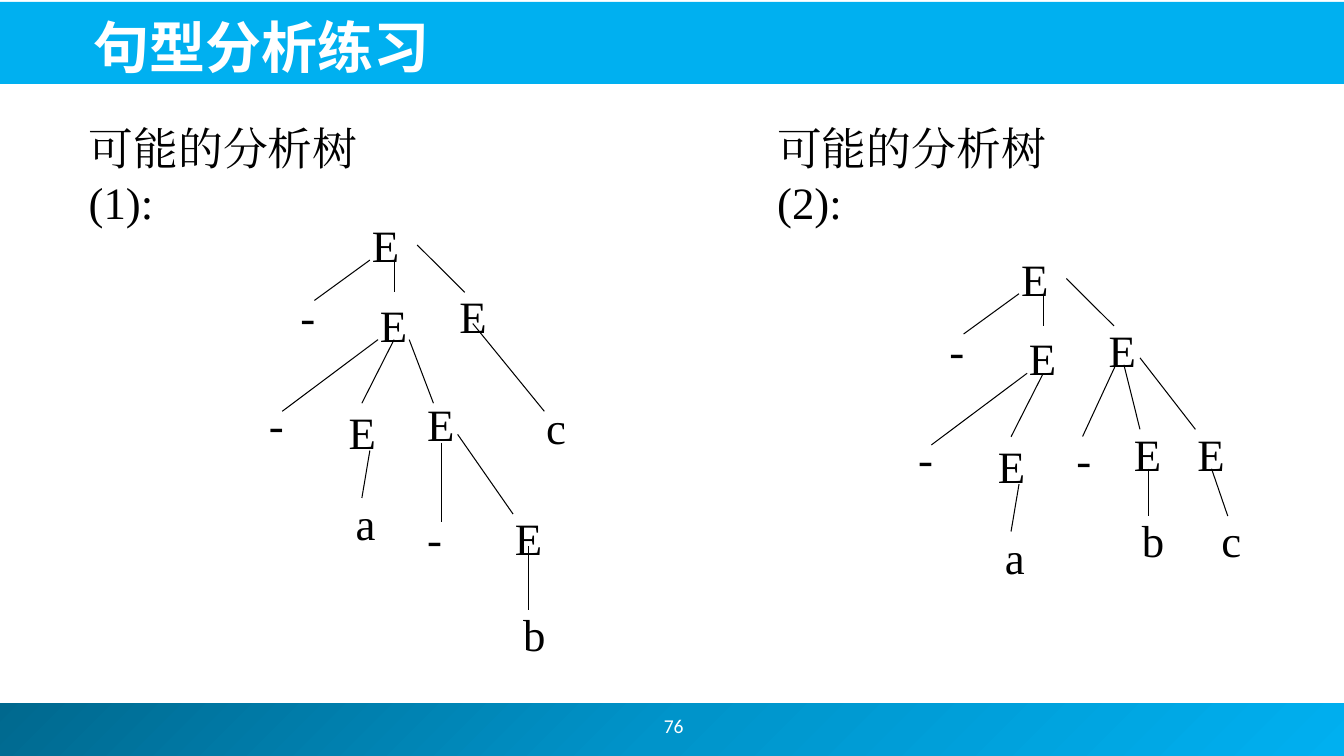
from copy import deepcopy
from dataclasses import dataclass

from lxml.etree import SubElement
from pptx import Presentation
from pptx.dml.color import RGBColor
from pptx.enum.shapes import MSO_CONNECTOR as Connector, MSO_SHAPE as Shape
from pptx.enum.text import MSO_ANCHOR as Anchor, MSO_AUTO_SIZE as AutoSize, PP_ALIGN as Align
from pptx.oxml.ns import qn
from pptx.util import Pt


@dataclass(frozen=True)
class Theme:
    sky: str = "00B0F0"
    footer_stops: tuple = ((0, "00688E"), (0.5, "0094CA"), (1, "00B0F0"))
    white: str = "FFFFFF"
    black: str = "000000"
    title_font: str = "Noto Sans CJK JP"
    body_font: str = "Times New Roman"
    number_font: str = "Calibri"
    title_size: int = 40
    body_size: int = 32
    number_size: int = 14
    branch_width: float = 0.75


THEME = Theme()
NODE_WIDTH, TEXT_HEIGHT = 24, 46
SECOND_TREE = (463.7, 24)

SHARED_NODES = [
    ("E", 258.5, 152), ("-", 207.4, 203), ("E", 264.2, 208.8), ("E", 321.1, 203),
    ("-", 185, 280), ("E", 241.9, 285.8), ("a", 247, 350.6),
]
SHARED_BRANCHES = [
    (264.2, 185.8, 224.6, 214.6), (281.5, 185.8, 281.5, 208.8), (298, 175, 332, 208.8),
    (270, 242.6, 201.6, 293.8), (281.5, 242.6, 258.5, 288), (264.2, 321.8, 258.5, 355.7),
]
FIRST_NODES = [
    ("E", 298, 280), ("c", 383, 282.2), ("-", 298, 361.4), ("E", 360.7, 361.4), ("b", 366.5, 429.8),
]
FIRST_BRANCHES = [
    (292.3, 242.6, 309.6, 288), (337.7, 231.1, 388.8, 293.8), (315.4, 316.1, 315.4, 373),
    (326.9, 310.3, 366.5, 367.2), (377.3, 390.2, 377.3, 435.6),
]
SECOND_NODES = [
    ("-", 298, 280.6), ("E", 339.1, 277), ("E", 384.5, 277), ("b", 344.9, 338.9), ("c", 401.7, 338.9),
]
SECOND_BRANCHES = [
    (333.3, 236.6, 309.6, 287.8), (339.1, 236.6, 350.6, 282.7), (350.6, 231.6, 390.2, 282.7),
    (356.4, 310.8, 356.4, 344.6), (401.7, 310.8, 413.3, 344.6),
]


def add_band(page, left, top, width, height):
    band = page.shapes.add_shape(Shape.RECTANGLE, Pt(left), Pt(top), Pt(width), Pt(height))
    band.shadow.inherit = False
    band.line.fill.background()
    return band


def fill_solid(band, color):
    band.fill.solid()
    band.fill.fore_color.rgb = RGBColor.from_string(color)


def fill_gradient(band, stops):
    band.fill.gradient()
    band.fill.gradient_angle = 315
    stop_list = band._element.spPr.find(".//" + qn("a:gsLst"))
    stop_list.insert(1, deepcopy(stop_list[0]))
    for stop, (position, color) in zip(band.fill.gradient_stops, stops):
        stop.position = position
        stop.color.rgb = RGBColor.from_string(color)


def add_text(page, text, left, top, width, height, font, size, color,
             bold=False, align=Align.LEFT, anchor=Anchor.TOP, fit=AutoSize.NONE):
    box = page.shapes.add_textbox(Pt(left), Pt(top), Pt(width), Pt(height))
    frame = box.text_frame
    frame.word_wrap = True
    frame.auto_size = fit
    frame.vertical_anchor = anchor
    para = frame.paragraphs[0]
    para.text = text
    para.alignment = align
    para.font.name = font
    para.font.size = Pt(size)
    para.font.bold = bold
    para.font.color.rgb = RGBColor.from_string(color)
    SubElement(para._p.pPr.find(qn("a:defRPr")), qn("a:ea"), typeface=font)


def add_body(page, text, left, top, width):
    add_text(page, text, left, top, width, TEXT_HEIGHT, THEME.body_font,
             THEME.body_size, THEME.black, fit=AutoSize.SHAPE_TO_FIT_TEXT)


def add_branch(page, x1, y1, x2, y2):
    branch = page.shapes.add_connector(Connector.STRAIGHT, Pt(x1), Pt(y1), Pt(x2), Pt(y2))
    branch.line.width = Pt(THEME.branch_width)
    branch.line.color.rgb = RGBColor.from_string(THEME.black)
    SubElement(branch._element.spPr, qn("a:effectLst"))


def add_tree(page, nodes, branches, shift=(0, 0)):
    dx, dy = shift
    for label, left, top in SHARED_NODES + nodes:
        add_body(page, label, left + dx, top + dy, NODE_WIDTH)
    for x1, y1, x2, y2 in SHARED_BRANCHES + branches:
        add_branch(page, x1 + dx, y1 + dy, x2 + dx, y2 + dy)


def main():
    deck = Presentation()
    deck.slide_width, deck.slide_height = Pt(960), Pt(540)
    page = deck.slides.add_slide(deck.slide_layouts[6])

    fill_gradient(add_band(page, -3.6, 502.4, 964, 37.6), THEME.footer_stops)
    fill_solid(add_band(page, -1.5, 1.4, 962, 58.6), THEME.sky)
    add_text(page, "76", 377.3, 500.4, 208, 36, THEME.number_font, THEME.number_size,
             THEME.white, align=Align.CENTER, anchor=Anchor.MIDDLE)
    add_text(page, "句型分析练习", 60, 3.6, 868, 57, THEME.title_font, THEME.title_size,
             THEME.white, bold=True, anchor=Anchor.BOTTOM)

    add_body(page, "可能的分析树(1):", 56.2, 82.8, 250)
    add_tree(page, FIRST_NODES, FIRST_BRANCHES)
    add_body(page, "可能的分析树(2):", 548, 82.8, 250)
    add_tree(page, SECOND_NODES, SECOND_BRANCHES, SECOND_TREE)

    deck.save("out.pptx")


if __name__ == "__main__":
    main()
